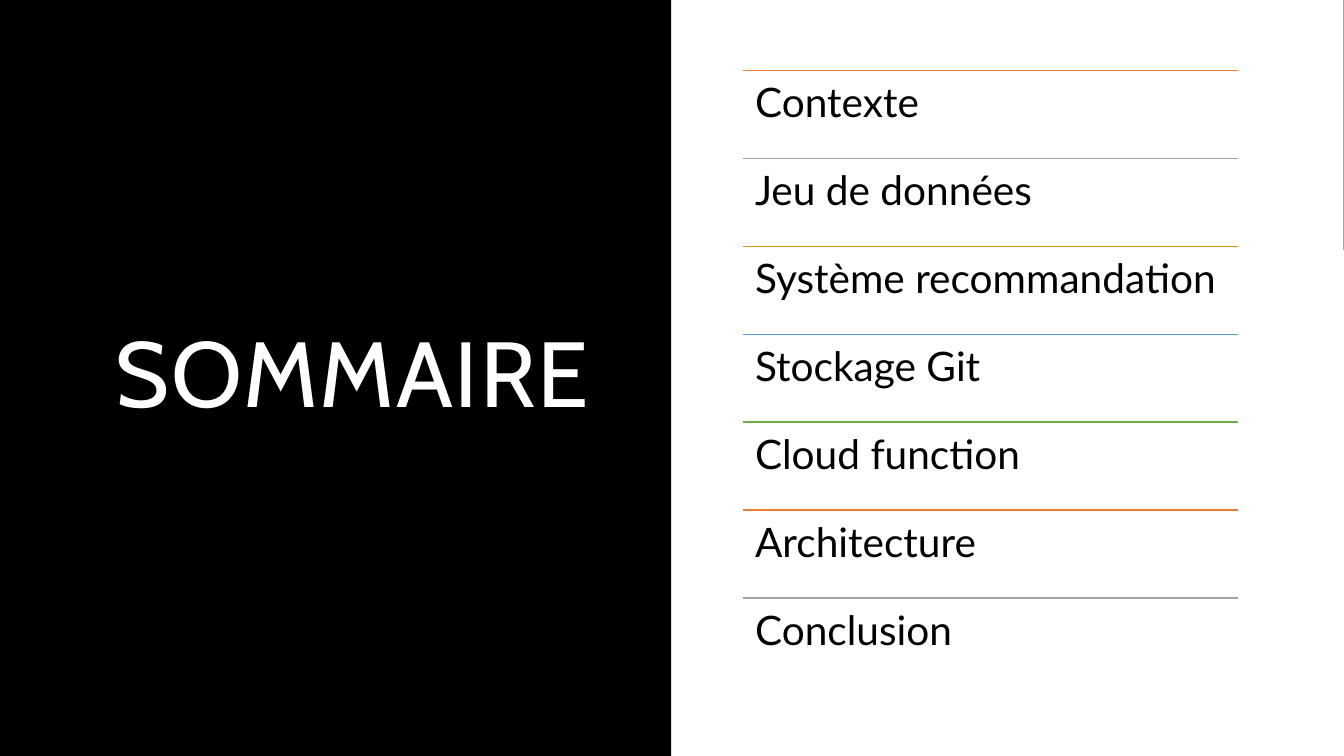
from dataclasses import dataclass

from lxml.etree import SubElement
from pptx import Presentation
from pptx.dml.color import RGBColor as RGB
from pptx.enum.shapes import MSO_CONNECTOR as Conn, MSO_SHAPE as Shape
from pptx.enum.text import MSO_ANCHOR as Anchor, PP_ALIGN as Align
from pptx.oxml.ns import qn
from pptx.util import Inches, Pt


@dataclass(frozen=True)
class Theme:
    black: str = "000000"
    white: str = "FFFFFF"
    accents: tuple = ("ED7D31", "A3A3A3", "CF9B00", "5B9BD5", "70AD47")
    title_font: str = "Cabin"
    body_font: str = "Lato"
    title_size: float = 66
    body_size: float = 29
    rule_width: float = 1


def write(tf, text, *, font, size, color, spacing=0, after=0):
    """Put one left-aligned line of formatted text in a frame."""
    p = tf.paragraphs[0]
    p.alignment = Align.LEFT
    p.line_spacing = 0.9
    p.space_after = Pt(after)
    r = p.add_run()
    r.text = text
    r.font.name = font
    r.font.size = Pt(size)
    r.font.color.rgb = RGB.from_string(color)
    if spacing:
        r._r.get_or_add_rPr().set("spc", str(round(spacing * 100)))


class Deck:
    def __init__(self, theme, width, height):
        self.theme = theme
        self.prs = Presentation()
        self.prs.slide_width = Inches(width)
        self.prs.slide_height = Inches(height)
        self.s = self.prs.slides.add_slide(self.prs.slide_layouts[6])

    def rect(self, x, y, w, h, color):
        sp = self.s.shapes.add_shape(
            Shape.RECTANGLE, Inches(x), Inches(y), Inches(w), Inches(h))
        sp.shadow.inherit = False
        sp.fill.solid()
        sp.fill.fore_color.rgb = RGB.from_string(color)
        sp.line.fill.background()

    def text(self, shapes, x, y, w, h, text, *, inset=(0.1, 0.05),
             anchor=Anchor.TOP, **fmt):
        sp = shapes.add_textbox(Inches(x), Inches(y), Inches(w), Inches(h))
        tf = sp.text_frame
        tf.word_wrap = True
        tf.vertical_anchor = anchor
        tf.margin_left = tf.margin_right = Inches(inset[0])
        tf.margin_top = tf.margin_bottom = Inches(inset[1])
        write(tf, text, **fmt)

    def rule(self, shapes, x, y, w, color):
        ln = shapes.add_connector(
            Conn.STRAIGHT, Inches(x), Inches(y), Inches(x + w), Inches(y))
        ln.line.color.rgb = RGB.from_string(color)
        ln.line.width = Pt(self.theme.rule_width)
        SubElement(ln._element.spPr, qn("a:effectLst"))

    def agenda(self, items, x, y, w, pitch):
        """Stack items at an equal pitch, each under a coloured rule."""
        t = self.theme
        shapes = self.s.shapes.add_group_shape().shapes
        for i, item in enumerate(items):
            top = y + i * pitch
            self.rule(shapes, x, top, w, t.accents[i % len(t.accents)])
            self.text(shapes, x, top, w, pitch, item, inset=(0.12, 0.12),
                      font=t.body_font, size=t.body_size, color=t.black,
                      after=t.body_size * 0.35)


WIDTH, HEIGHT = 13.333, 7.5
TOPICS = ["Contexte", "Jeu de données", "Système recommandation",
          "Stockage Git", "Cloud function", "Architecture", "Conclusion"]


def main():
    theme = Theme()
    deck = Deck(theme, WIDTH, HEIGHT)

    # Background: top band, white page, black left half
    deck.rect(0, 0, WIDTH, 2.48, theme.black)
    deck.rect(0, 0, 13.33, HEIGHT, theme.white)
    deck.rect(0, 0, 6.66, HEIGHT, theme.black)

    # Title
    deck.text(deck.s.shapes, 1.05, 0.7, 5.06, 6.09, "SOMMAIRE",
              anchor=Anchor.MIDDLE, font=theme.title_font,
              size=theme.title_size, color=theme.white, spacing=1.2)

    # Agenda
    deck.agenda(TOPICS, x=7.37, y=0.7, w=4.91, pitch=0.872)

    deck.prs.save("out.pptx")


if __name__ == "__main__":
    main()
